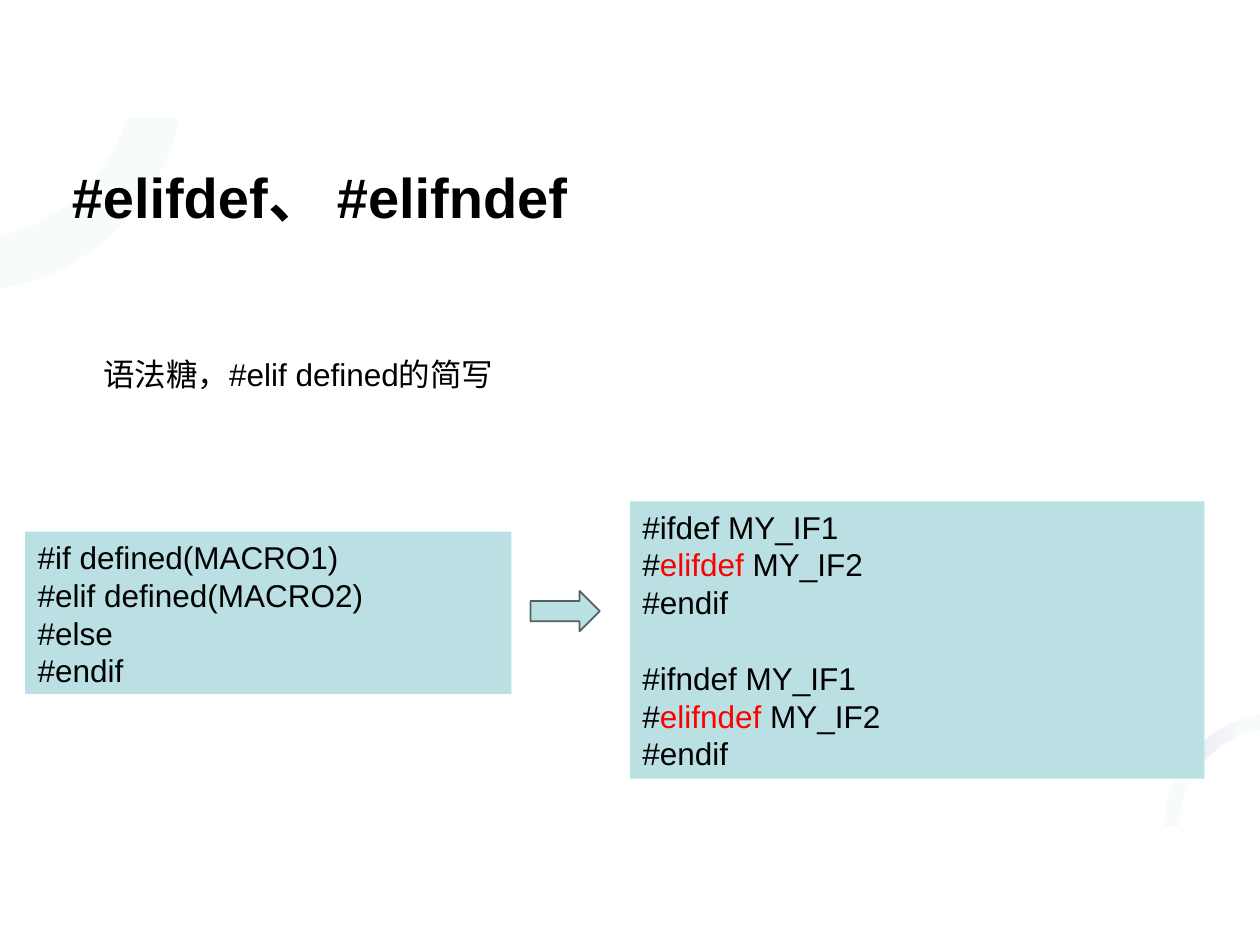
import dataclasses
import lxml.etree
import pptx
import pptx.dml.color
import pptx.enum.shapes
import pptx.enum.text
import pptx.oxml.ns
import pptx.util

Inches = pptx.util.Inches
Pt = pptx.util.Pt
Rgb = pptx.dml.color.RGBColor.from_string
Kind = pptx.enum.shapes.MSO_SHAPE
Anchor = pptx.enum.text.MSO_ANCHOR
qn = pptx.oxml.ns.qn


@dataclasses.dataclass(frozen=True)
class Theme:
    font: str = "Arial"
    ink: str = "000000"
    key: str = "FF0000"
    fill: str = "BBE0E3"
    edge: str = "526263"
    glow: str = "333399"
    head: float = 32
    body: float = 18
    pitch: float = 21.6


THEME = Theme()

RING = [
    (0, 1.87), (0.32, 1.8, 0.6, 1.63, 0.8, 1.35),
    (0.89, 1.22, 0.96, 1.08, 1, 0.94), (1.43, 0.94),
    (1.38, 1.16, 1.28, 1.39, 1.14, 1.59),
    (0.85, 1.98, 0.44, 2.22, 0, 2.29),
]
ARC = [
    (10, 5.67), (9.57, 5.74, 9.24, 6.12, 9.24, 6.56), (9.36, 6.56),
    (9.36, 6.18, 9.64, 5.86, 10, 5.79),
]
SHEEN = [
    (10, 5.67), (10, 5.79), (9.78, 5.83, 9.6, 5.96, 9.48, 6.14),
    (9.47, 6.17, 9.43, 6.18, 9.4, 6.16),
    (9.37, 6.14, 9.37, 6.11, 9.38, 6.08),
    (9.52, 5.87, 9.74, 5.71, 10, 5.67),
]

OLD = ["#if defined(MACRO1)", "#elif defined(MACRO2)", "#else", "#endif"]
NEW = [
    ["#ifdef MY_IF1", "#|elifdef |MY_IF2", "#endif"],
    ["#ifndef MY_IF1", "#|elifndef |MY_IF2", "#endif"],
]


def apply(item, values):
    for name, value in values.items():
        setattr(item, name, value)


def fade(shape, levels):
    tints = shape.fill._xPr.iter(qn("a:srgbClr"))
    for tint, level in zip(tints, levels):
        alpha = lxml.etree.SubElement(tint, qn("a:alpha"))
        alpha.set("val", str(level * 1000))


def bend(shape, steps):
    lines = list(shape.element.iter(qn("a:lnTo")))
    for line, step in zip(lines, steps[1:]):
        if len(step) == 2:
            continue
        curve = line.makeelement(qn("a:cubicBezTo"))
        for x, y in zip(step[::2], step[1::2]):
            dot = lxml.etree.SubElement(curve, qn("a:pt"))
            dot.set("x", str(Inches(x) - shape.left))
            dot.set("y", str(Inches(y) - shape.top))
        line.getparent().replace(line, curve)


def add_curve(slide, steps):
    dots = [tuple(map(Inches, step[-2:])) for step in steps]
    pen = slide.shapes.build_freeform(*dots[0])
    pen.add_line_segments(dots[1:], close=False)
    shape = pen.convert_to_shape()
    bend(shape, steps)
    shape.shadow.inherit = False
    shape.line.fill.background()
    return shape


def add_tint(slide, steps):
    shape = add_curve(slide, steps)
    shape.fill.solid()
    shape.fill.fore_color.rgb = Rgb(THEME.fill)
    fade(shape, [10])


def add_sheen(slide, steps):
    shape = add_curve(slide, steps)
    shape.fill.gradient()
    shape.fill.gradient_angle = 359
    for stop, place in zip(shape.fill.gradient_stops, (0, 0.7)):
        stop.position = place
        stop.color.rgb = Rgb(THEME.glow)
    fade(shape, [10, 0])


def add_block(slide, kind, box):
    shape = slide.shapes.add_shape(kind, *map(Inches, box))
    shape.shadow.inherit = False
    shape.fill.solid()
    shape.fill.fore_color.rgb = Rgb(THEME.fill)
    shape.line.fill.background()
    return shape


def write(para, text, size, bold=False):
    para.alignment = pptx.enum.text.PP_ALIGN.LEFT
    for n, part in enumerate(text.split("|")):
        run = para.add_run()
        run.text = part
        apply(run.font, {"name": THEME.font, "size": Pt(size), "bold": bold})
        run.font.color.rgb = Rgb(THEME.key if n % 2 else THEME.ink)


def add_code(slide, box, groups):
    frame = add_block(slide, Kind.RECTANGLE, box).text_frame
    apply(frame, {"word_wrap": True, "vertical_anchor": Anchor.TOP})
    para = None
    for group in groups:
        for n, line in enumerate(group):
            gap = THEME.pitch if para is not None and n == 0 else 0
            para = frame.paragraphs[0] if para is None else frame.add_paragraph()
            apply(para, {"line_spacing": Pt(THEME.pitch),
                         "space_before": Pt(gap)})
            write(para, line, THEME.body)


def add_label(slide, box, text, size, bold=False, form=None):
    frame = slide.shapes.add_textbox(*map(Inches, box)).text_frame
    apply(frame, {"word_wrap": True, **(form or {})})
    write(frame.paragraphs[0], text, size, bold)


def add_arrow(slide, box):
    shape = add_block(slide, Kind.RIGHT_ARROW, box)
    shape.line.color.rgb = Rgb(THEME.edge)
    shape.line.width = Pt(1)


def main():
    deck = pptx.Presentation()
    apply(deck, {"slide_width": Inches(10), "slide_height": Inches(7.5)})
    slide = deck.slides.add_slide(deck.slide_layouts[6])
    add_tint(slide, RING)
    add_tint(slide, ARC)
    add_sheen(slide, SHEEN)
    flush = {"margin_left": 0, "margin_top": 0, "margin_right": 0,
             "margin_bottom": 0, "vertical_anchor": Anchor.BOTTOM}
    add_label(slide, (0.57, 1.23, 8.86, 0.59), "#elifdef、 #elifndef",
              THEME.head, True, flush)
    add_code(slide, (5, 3.98, 4.56, 2.2), NEW)
    add_label(slide, (0.72, 2.77, 5.06, 0.4),
              "语法糖，#elif defined的简写", THEME.body)
    add_code(slide, (0.2, 4.22, 3.86, 1.29), [OLD])
    add_arrow(slide, (4.21, 4.69, 0.55, 0.32))
    deck.save("out.pptx")


if __name__ == "__main__":
    main()
